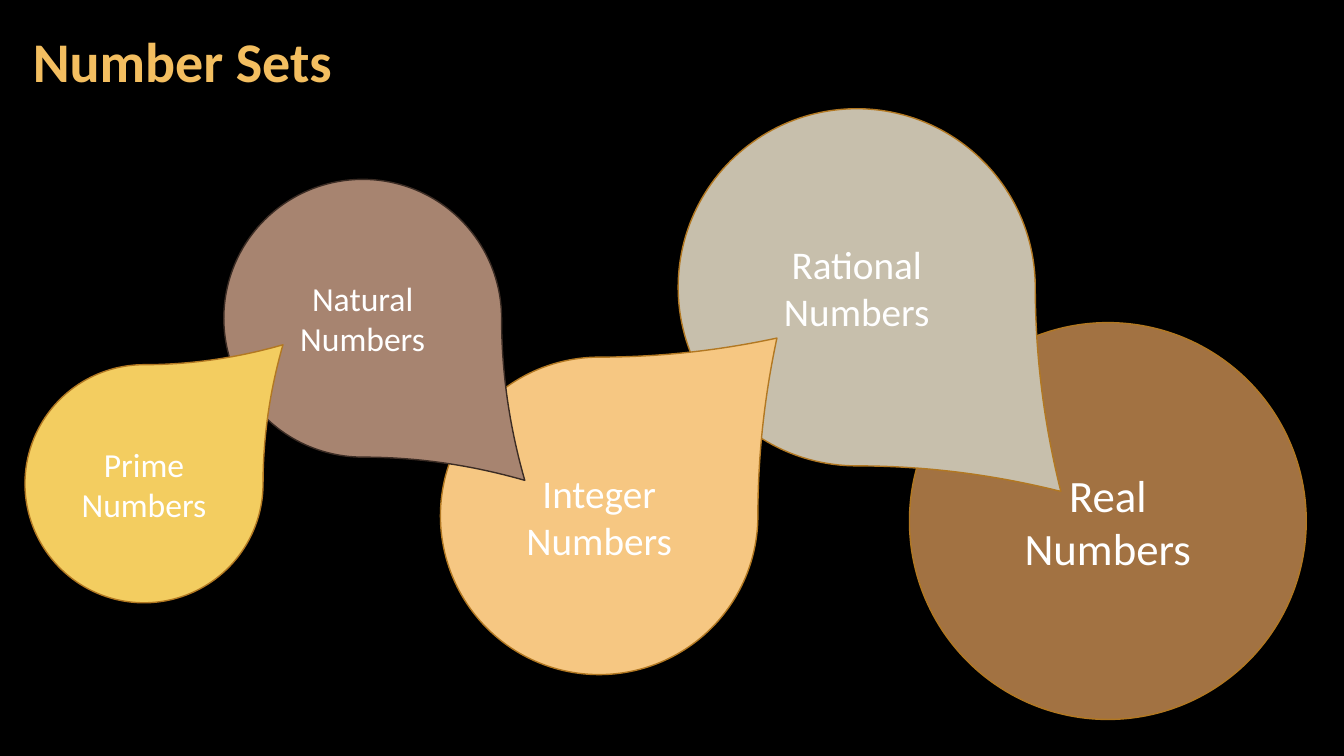
from dataclasses import dataclass

from pptx import Presentation
from pptx.dml.color import RGBColor
from pptx.enum.shapes import MSO_SHAPE as Preset
from pptx.enum.text import MSO_ANCHOR as Anchor, MSO_AUTO_SIZE as AutoSize, PP_ALIGN as Align
from pptx.util import Cm, Pt

FONT = "Calibri"
COLORS = {
    "background": "000000",
    "title": "F3BE60",
    "label": "FFFFFF",
    "gold_line": "B27822",
    "dark_line": "3B2C24",
    "real": "A27242",
    "rational": "C7BFAC",
    "integer": "F6C782",
    "natural": "A78470",
    "prime": "F3CD60",
}


@dataclass
class NumberSet:
    """A number set drawn around a centre, with lengths in centimetres."""
    name: str
    center: tuple
    diameter: float
    font_size: int
    fill: str
    line: str = "gold_line"
    tip: float = 0
    rotation: int = 0
    label_width: float = 4.5


NUMBER_SETS = [
    NumberSet("Real Numbers", (27.92, 13.13), 10, 32, "real", label_width=5.66),
    NumberSet("Rational Numbers", (21.59, 7.24), 9, 28, "rational", tip=1.143, rotation=90),
    NumberSet("Integer Numbers", (15.1, 13), 8, 28, "integer", tip=1.12),
    NumberSet("Natural Numbers", (9.14, 8.02), 7, 24, "natural", "dark_line", 1.167, 90),
    NumberSet("Prime Numbers", (3.63, 12.19), 6, 24, "prime", tip=1.167),
]


def color(name):
    """Return the named colour."""
    return RGBColor.from_string(COLORS[name])


def centered_box(center, width, height):
    """Return left, top, width and height of a box around a centre."""
    x, y = center
    return Cm(x - width / 2), Cm(y - height / 2), Cm(width), Cm(height)


def add_text(frame, text, size, color_name, bold=False):
    """Write one run into the frame and return its paragraph."""
    frame.word_wrap = True
    frame.vertical_anchor = Anchor.MIDDLE
    paragraph = frame.paragraphs[0]
    run = paragraph.add_run()
    run.text = text
    run.font.name = FONT
    run.font.size = Pt(size)
    run.font.bold = bold
    run.font.color.rgb = color(color_name)
    return paragraph


def add_title(slide, text, left, top, width, height):
    """Place the slide title in the given box."""
    frame = slide.shapes.add_textbox(Cm(left), Cm(top), Cm(width), Cm(height)).text_frame
    frame.margin_left = frame.margin_right = Cm(0.3)
    frame.margin_top = frame.margin_bottom = Cm(0.1)
    paragraph = add_text(frame, text, 40, "title", bold=True)
    paragraph.line_spacing = 0.9


def add_number_set(slide, number_set):
    """Group a circle or teardrop with its concentric two-line label."""
    group = slide.shapes.add_group_shape()
    preset = Preset.TEAR if number_set.tip else Preset.OVAL
    diameter = number_set.diameter
    shape = group.shapes.add_shape(preset, *centered_box(number_set.center, diameter, diameter))
    if number_set.tip:
        shape.adjustments[0] = number_set.tip
    shape.rotation = number_set.rotation
    shape.shadow.inherit = False
    shape.fill.solid()
    shape.fill.fore_color.rgb = color(number_set.fill)
    shape.line.color.rgb = color(number_set.line)
    shape.line.width = Pt(1)

    label_height = Pt(number_set.font_size * 2 * 1.22).cm + 0.25
    label = group.shapes.add_textbox(
        *centered_box(number_set.center, number_set.label_width, label_height))
    paragraph = add_text(label.text_frame, number_set.name, number_set.font_size, "label")
    paragraph.alignment = Align.CENTER
    label.text_frame.auto_size = AutoSize.SHAPE_TO_FIT_TEXT


def main():
    """Build and save the number sets slide."""
    presentation = Presentation()
    presentation.slide_width = Cm(33.87)
    presentation.slide_height = Cm(19.05)
    slide = presentation.slides.add_slide(presentation.slide_layouts[6])
    slide.background.fill.solid()
    slide.background.fill.fore_color.rgb = color("background")
    add_title(slide, "Number Sets", 0.53, 0.1, 26.6, 3.07)
    for number_set in NUMBER_SETS:
        add_number_set(slide, number_set)
    presentation.save("out.pptx")


if __name__ == "__main__":
    main()
